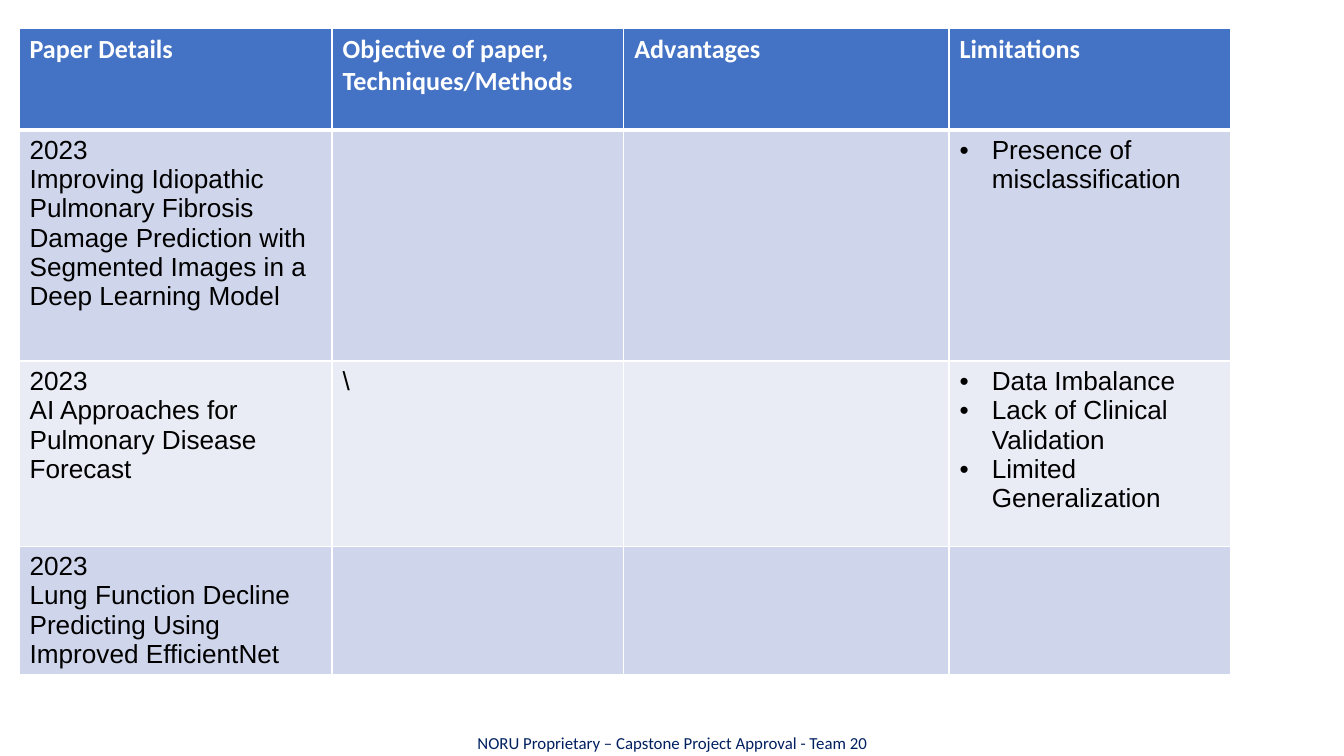
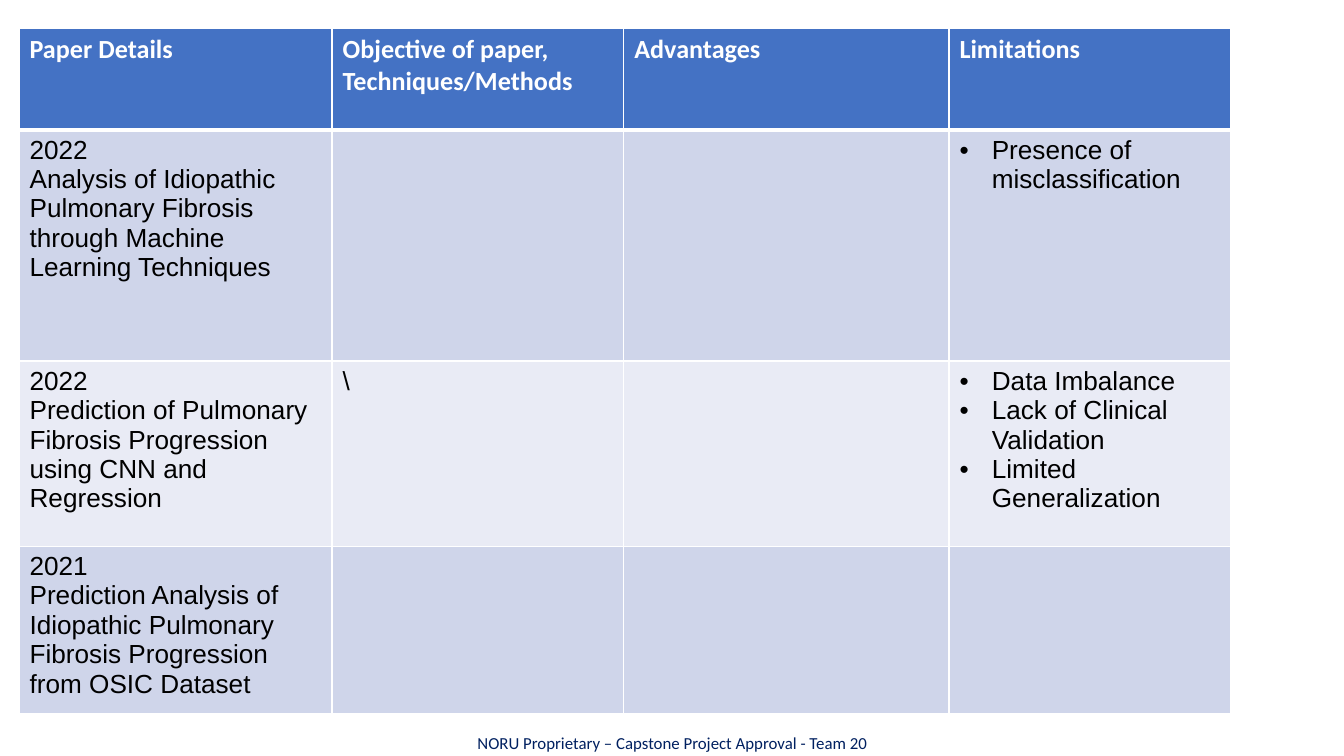
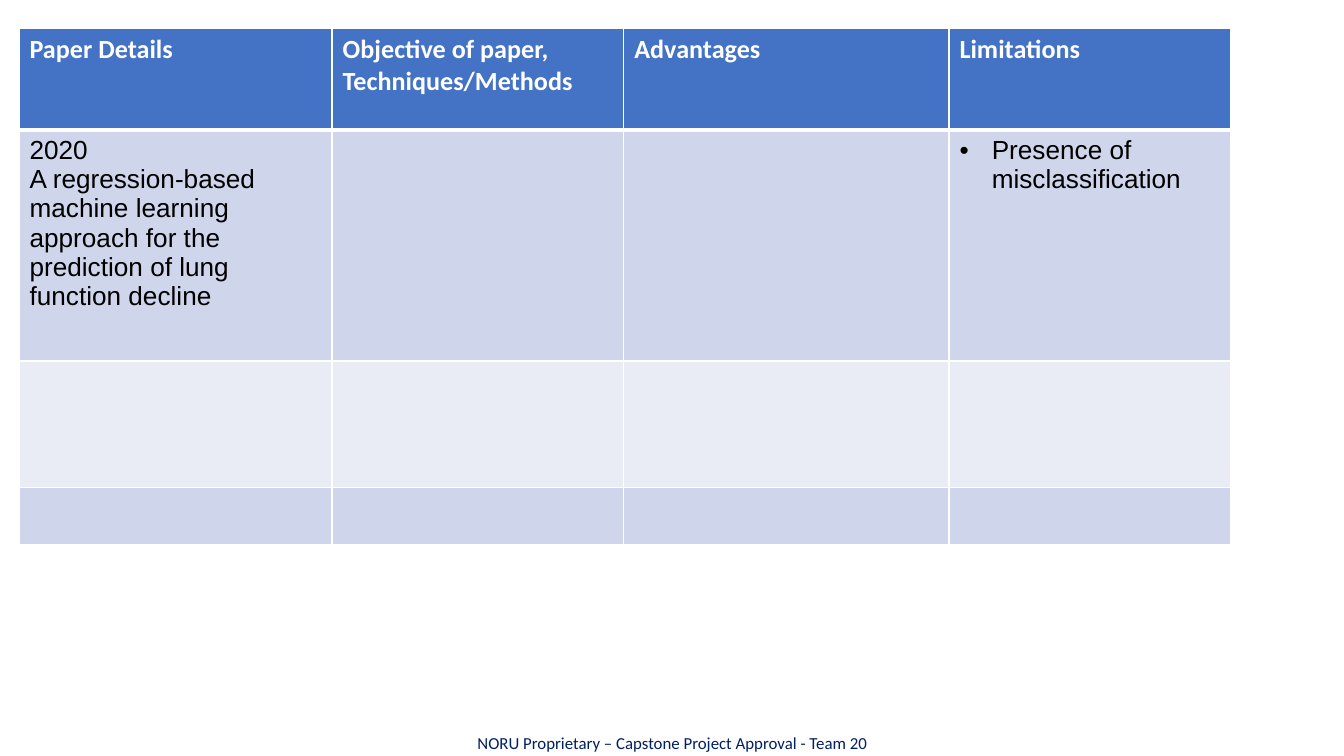
from dataclasses import dataclass

from lxml.etree import SubElement
from pptx import Presentation
from pptx.dml.color import RGBColor
from pptx.enum.text import MSO_ANCHOR, PP_ALIGN
from pptx.oxml.ns import qn
from pptx.slide import Slide
from pptx.table import _Cell
from pptx.text.text import TextFrame, _Paragraph
from pptx.util import Inches, Pt

SLIDE_WIDTH, SLIDE_HEIGHT = Inches(10), Inches(5.625)

# Shared look
WHITE, BLACK, NAVY = "FFFFFF", "000000", "002060"
HEADER_FILL = "4472C4"
BAND_FILLS = ("CFD5EA", "E9EBF5")
HEADINGS = ("Paper Details", "Objective of paper, Techniques/Methods", "Advantages", "Limitations")
FOOTER = "NORU Proprietary – Capstone Project Approval - Team 20"
THIN, THICK = 1, 3
BULLET_INDENT = Inches(0.24)

# Table grid, in percent of the slide's width and height
TABLE_LEFT, TABLE_TOP = 1.4, 3.7
COLUMN_WIDTHS = (23.3, 21.7, 24.2, 21)
HEADER_HEIGHT, FIRST_HEIGHT, LAST_HEIGHT = 13.5, 30.6, 7.6


@dataclass(frozen=True)
class Paper:
    year: str = ""
    title: str = ""
    objective: str = ""
    limitations: tuple[str, ...] = ()


@dataclass(frozen=True)
class Survey:
    papers: tuple[Paper, Paper, Paper]
    middle_height: float = 24.5


MISCLASSIFICATION = ("Presence of misclassification",)
DATA_LIMITS = ("Data Imbalance", "Lack of Clinical Validation", "Limited Generalization")

SURVEYS = (
    Survey((
        Paper("2023", "Improving Idiopathic Pulmonary Fibrosis Damage Prediction with "
              "Segmented Images in a Deep Learning Model", limitations=MISCLASSIFICATION),
        Paper("2023", "AI Approaches for Pulmonary Disease Forecast", "\\", DATA_LIMITS),
        Paper("2023", "Lung Function Decline Predicting Using Improved EfficientNet"),
    )),
    Survey((
        Paper("2022", "Analysis of Idiopathic Pulmonary Fibrosis through Machine "
              "Learning Techniques", limitations=MISCLASSIFICATION),
        Paper("2022", "Prediction of Pulmonary Fibrosis Progression using CNN and Regression",
              "\\", DATA_LIMITS),
        Paper("2021", "Prediction Analysis of Idiopathic Pulmonary Fibrosis Progression "
              "from OSIC Dataset"),
    )),
    Survey((
        Paper("2020", "A regression-based machine learning approach for the prediction "
              "of lung function decline", limitations=MISCLASSIFICATION),
        Paper(),
        Paper(),
    ), middle_height=16.7),
)


def color(value: str) -> RGBColor:
    return RGBColor.from_string(value)


def across(percent: float) -> int:
    return round(SLIDE_WIDTH * percent / 100)


def down(percent: float) -> int:
    return round(SLIDE_HEIGHT * percent / 100)


def add_bullet(paragraph: _Paragraph, ink: str) -> None:
    properties = paragraph._p.get_or_add_pPr()
    properties.set("marL", str(BULLET_INDENT))
    properties.set("indent", str(-BULLET_INDENT))
    bullet_color = SubElement(properties, qn("a:buClr"))
    SubElement(bullet_color, qn("a:srgbClr"), val=ink)
    SubElement(properties, qn("a:buFont"), typeface="Arial")
    SubElement(properties, qn("a:buChar"), char="•")


def write_text(frame: TextFrame, *lines: str, size: float = 14, font: str = "Arial",
               ink: str = BLACK, bold: bool = False, bulleted: bool = False,
               align: PP_ALIGN = PP_ALIGN.LEFT) -> None:
    for index, line in enumerate(lines):
        paragraph = frame.add_paragraph() if index else frame.paragraphs[0]
        paragraph.alignment = align
        if bulleted:
            add_bullet(paragraph, ink)
        run = paragraph.add_run()
        run.text = line
        run.font.name, run.font.size, run.font.bold = font, Pt(size), bold
        run.font.color.rgb = color(ink)


def style_cell(cell: _Cell, fill: str, top: float = THIN, bottom: float = THIN) -> None:
    cell.margin_left = cell.margin_right = Inches(0.08)
    cell.margin_top = cell.margin_bottom = Inches(0.04)
    properties = cell._tc.get_or_add_tcPr()
    for side, width in (("L", THIN), ("R", THIN), ("T", top), ("B", bottom)):
        border = SubElement(properties, qn(f"a:ln{side}"), w=str(Pt(width)))
        SubElement(SubElement(border, qn("a:solidFill")), qn("a:srgbClr"), val=WHITE)
    cell.fill.solid()
    cell.fill.fore_color.rgb = color(fill)


def add_survey_table(slide: Slide, survey: Survey) -> None:
    heights = (HEADER_HEIGHT, FIRST_HEIGHT, survey.middle_height, LAST_HEIGHT)
    table = slide.shapes.add_table(
        len(heights), len(COLUMN_WIDTHS), across(TABLE_LEFT), down(TABLE_TOP),
        across(sum(COLUMN_WIDTHS)), down(sum(heights))).table
    for column, width in zip(table.columns, COLUMN_WIDTHS):
        column.width = across(width)
    for row, height in zip(table.rows, heights):
        row.height = down(height)

    # Header row
    for cell, heading in zip(table.rows[0].cells, HEADINGS):
        style_cell(cell, HEADER_FILL, bottom=THICK)
        write_text(cell.text_frame, heading, font="Calibri", ink=WHITE, bold=True)

    # One banded row for each paper; the advantages stay open
    for index, paper in enumerate(survey.papers):
        cells = list(table.rows[index + 1].cells)
        for cell in cells:
            style_cell(cell, BAND_FILLS[index % 2], top=THIN if index else THICK)
        details, objective, _, limitations = cells
        if paper.title:
            write_text(details.text_frame, paper.year, paper.title)
        if paper.objective:
            write_text(objective.text_frame, paper.objective)
        write_text(limitations.text_frame, *paper.limitations, bulleted=True)


def add_footer(slide: Slide) -> None:
    frame = slide.shapes.add_textbox(across(29.6), down(96.5), across(40.8), down(3.6)).text_frame
    frame.word_wrap = True
    frame.vertical_anchor = MSO_ANCHOR.MIDDLE
    frame.margin_left = frame.margin_right = Inches(0.07)
    frame.margin_top = frame.margin_bottom = Inches(0.04)
    write_text(frame, FOOTER, size=9, font="Calibri", ink=NAVY, align=PP_ALIGN.CENTER)


def main() -> None:
    presentation = Presentation()
    presentation.slide_width, presentation.slide_height = SLIDE_WIDTH, SLIDE_HEIGHT
    for survey in SURVEYS:
        slide = presentation.slides.add_slide(presentation.slide_layouts[6])
        add_survey_table(slide, survey)
        add_footer(slide)
    presentation.save("out.pptx")


if __name__ == "__main__":
    main()
